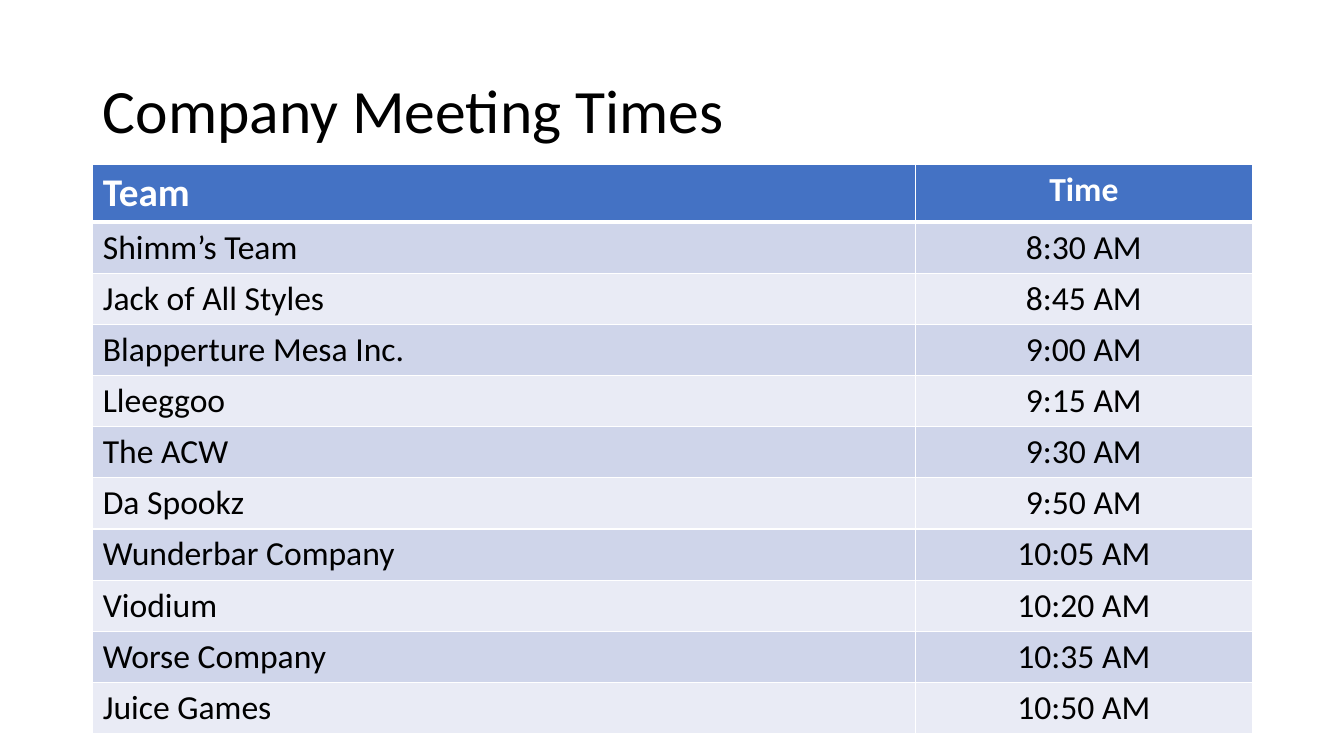
from lxml import etree
from pptx import Presentation
from pptx import util as u
from pptx.dml import color
from pptx.enum import text
from pptx.oxml import ns

PX = 9144
WHITE, BLACK, BLUE = "FFFFFF", "000000", "4472C4"
BANDS = ("CFD5EA", "E9EBF5")
MEETINGS = [
    ("Team", "Time"),
    ("Shimm’s Team", "8:30 AM"),
    ("Jack of All Styles", "8:45 AM"),
    ("Blapperture Mesa Inc.", "9:00 AM"),
    ("Lleeggoo", "9:15 AM"),
    ("The ACW", "9:30 AM"),
    ("Da Spookz", "9:50 AM"),
    ("Wunderbar Company", "10:05 AM"),
    ("Viodium", "10:20 AM"),
    ("Worse Company", "10:35 AM"),
    ("Juice Games", "10:50 AM"),
]


def px(length):
    return u.Emu(length * PX)


def rgb(value):
    return color.RGBColor.from_string(value)


class ScheduleSlide:
    """Hold the schedule's style and the slide being filled."""

    font_name = "Calibri"

    def __init__(self, presentation):
        self.slide = presentation.slides.add_slide(presentation.slide_layouts[5])

    def put_text(self, frame, words, size, ink, bold=False, **layout):
        frame.text = words
        paragraph = frame.paragraphs[0]
        for name, value in layout.items():
            setattr(paragraph, name, value)
        font = paragraph.runs[0].font
        formats = {"name": self.font_name, "size": u.Pt(size), "bold": bold}
        for name, value in formats.items():
            setattr(font, name, value)
        font.color.rgb = rgb(ink)

    def title(self, words, left, top, width, height):
        shape = self.slide.shapes.title
        box = {"left": left, "top": top, "width": width, "height": height}
        for name, value in box.items():
            setattr(shape, name, px(value))
        frame = shape.text_frame
        frame.auto_size = text.MSO_AUTO_SIZE.NONE
        frame.vertical_anchor = text.MSO_ANCHOR.MIDDLE
        self.put_text(frame, words, 44, BLACK,
                      alignment=text.PP_ALIGN.LEFT, line_spacing=0.9)

    def border(self, cell, side, points):
        properties = cell._tc.get_or_add_tcPr()
        line = etree.SubElement(properties, ns.qn(f"a:ln{side}"), w=str(u.Pt(points)))
        fill = etree.SubElement(line, ns.qn("a:solidFill"))
        etree.SubElement(fill, ns.qn("a:srgbClr"), val=WHITE)

    def table(self, rows, left, top, widths, heights):
        shape = self.slide.shapes.add_table(
            len(rows), len(widths), px(left), px(top),
            px(sum(widths)), px(sum(heights)))
        table = shape.table
        for column, width in zip(table.columns, widths):
            column.width = px(width)
        for row, height in zip(table.rows, heights):
            row.height = px(height)
        for i, row in enumerate(rows):
            for j, words in enumerate(row):
                self.cell(table.cell(i, j), words, i, j)

    def cell(self, cell, words, row, column):
        header = row == 0
        edges = {"L": 1, "R": 1, "T": 3 if row == 1 else 1, "B": 3 if header else 1}
        for side, points in edges.items():
            self.border(cell, side, points)
        cell.fill.solid()
        cell.fill.fore_color.rgb = rgb(BLUE if header else BANDS[(row - 1) % 2])
        size = 28 if header and column == 0 else 24
        alignment = text.PP_ALIGN.CENTER if column else text.PP_ALIGN.LEFT
        self.put_text(cell.text_frame, words, size, WHITE if header else BLACK,
                      bold=header, alignment=alignment)


def main():
    presentation = Presentation()
    presentation.slide_width = px(1333)
    presentation.slide_height = px(750)
    schedule = ScheduleSlide(presentation)
    schedule.title("Company Meeting Times", 92, 40, 1150, 145)
    heights = [51] + [50] * (len(MEETINGS) - 1)
    schedule.table(MEETINGS, 92, 163, (816, 334), heights)
    presentation.save("out.pptx")


if __name__ == "__main__":
    main()
